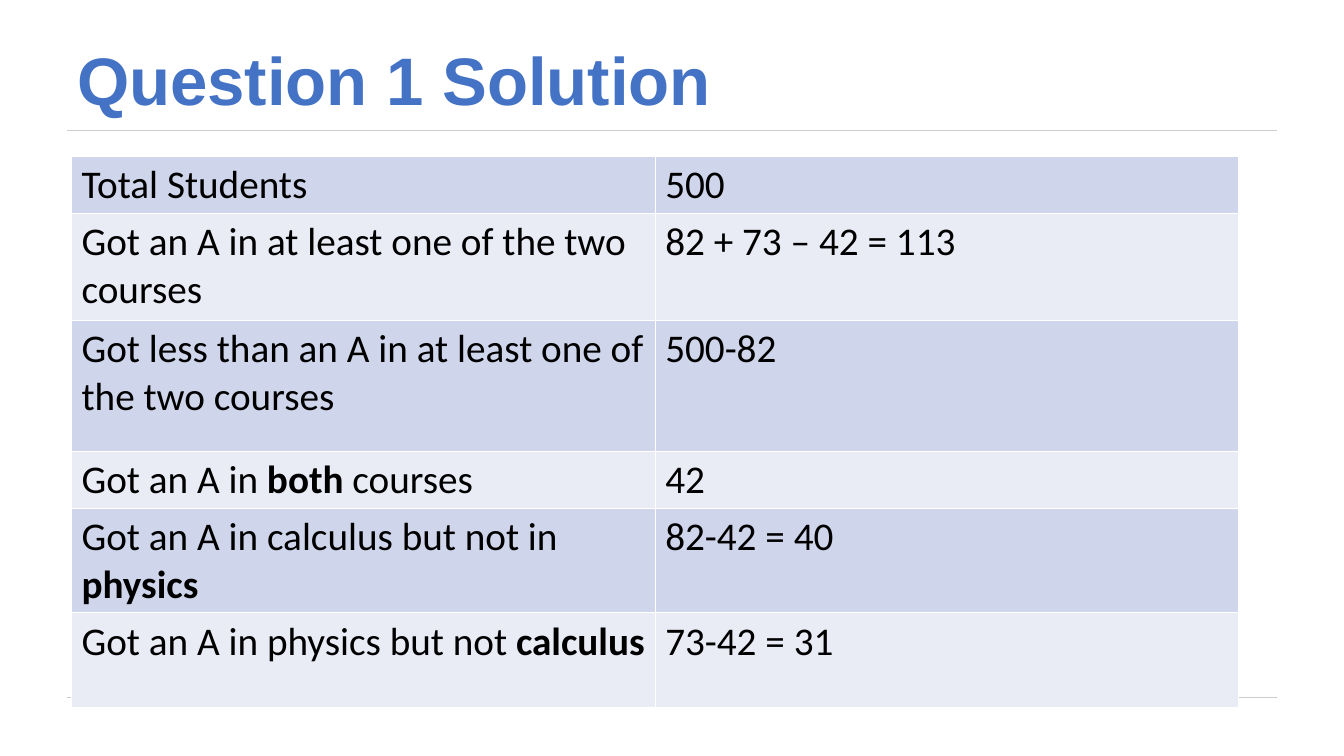
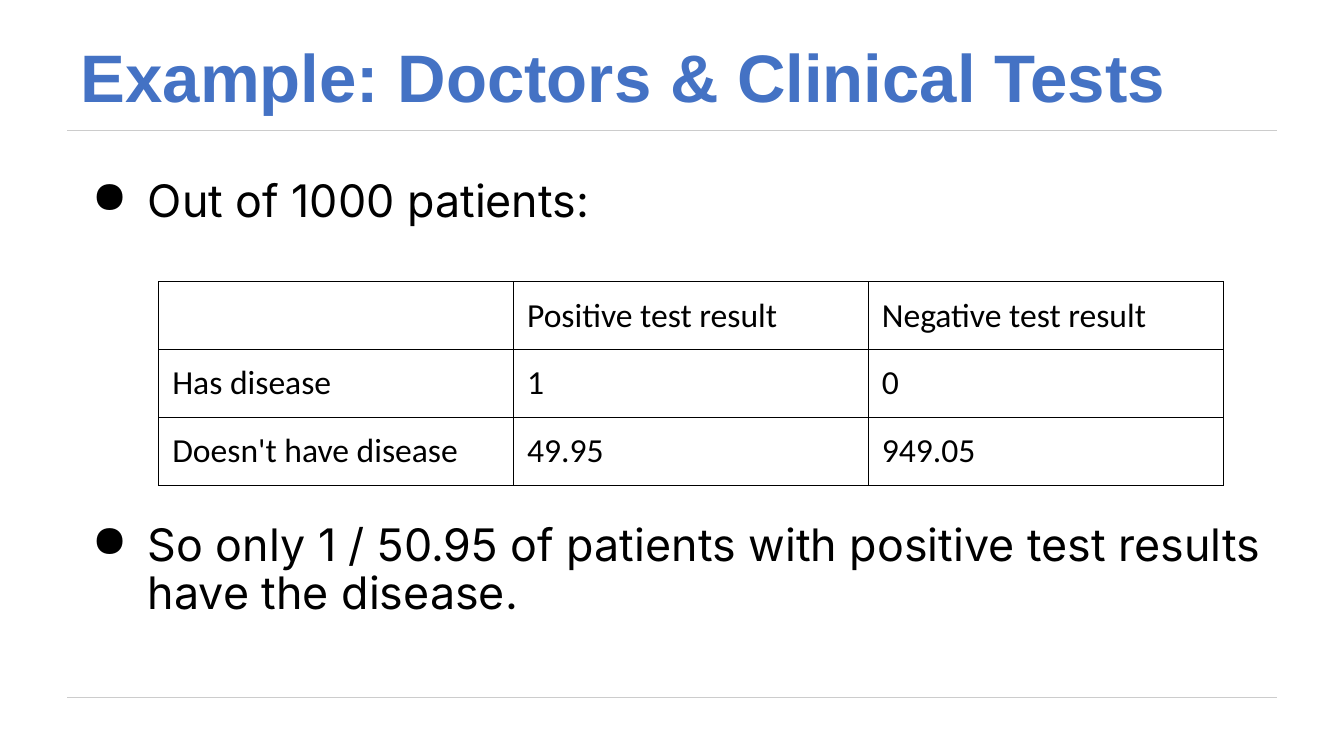
from dataclasses import dataclass
from typing import Any

from lxml.etree import SubElement
from pptx import Presentation
from pptx.dml.color import RGBColor
from pptx.enum.shapes import MSO_CONNECTOR
from pptx.enum.text import MSO_ANCHOR
from pptx.oxml.ns import qn
from pptx.slide import Slide
from pptx.util import Pt

BLUE = RGBColor(0x44, 0x72, 0xC4)
BLACK = RGBColor(0, 0, 0)
WHITE = RGBColor(255, 255, 255)
RULE = RGBColor(0xCC, 0xCC, 0xCC)
BANDS = (RGBColor(0xCF, 0xD5, 0xEA), RGBColor(0xE9, 0xEB, 0xF5))

SIDES = ("left", "top", "right", "bottom")
LEFT, RIGHT = 48, 912
RULES = (92.9, 498)


@dataclass(frozen=True)
class Font:
    """Look of a run of text."""
    name: str
    size: float
    color: RGBColor = BLACK
    bold: bool = False


@dataclass(frozen=True)
class Box:
    """Place of an object and its inner margin, in points."""
    left: float
    top: float
    width: float
    height: float
    inset: float = 9.6


@dataclass(frozen=True)
class Grid:
    """Table with rows of text, where *stars* mark bold words."""
    left: float
    top: float
    width: float
    heights: tuple[float, ...]
    rows: tuple[tuple[str, ...], ...]
    font: Font
    edge: RGBColor
    weight: float
    bands: tuple[RGBColor, ...] = ()
    margins: tuple[float, ...] = (9.6,) * 4


@dataclass(frozen=True)
class Bullet:
    """Bullet text and the space before it."""
    text: str
    before: float


TITLE = Font("Arial", 48, BLUE, True)
BODY = Font("Inter", 32)

GRADES = Grid(
    51.1, 111.6, 833.8, (37.4, 76.3, 93.6, 37.4, 67.7, 67.7),
    (("Total Students", "500"),
     ("Got an A in at least one of the two courses", "82 + 73 – 42 = 113"),
     ("Got less than an A in at least one of the two courses", "500-82"),
     ("Got an A in *both* courses", "42"),
     ("Got an A in calculus but not in *physics*", "82-42 = 40"),
     ("Got an A in physics but not *calculus*", "73-42 = 31")),
    Font("Calibri", 28), WHITE, 1, BANDS, (7.2, 3.6, 7.2, 3.6))

TESTS = Grid(
    113.5, 201.2, 760.3, (48.5,) * 3,
    (("", "Positive test result", "Negative test result"),
     ("Has disease", "1", "0"),
     ("Doesn't have disease", "49.95", "949.05")),
    Font("Calibri", 24), BLACK, 0.75)

POINTS = (
    Bullet("Out of 1000 patients:", 6.4),
    Bullet("So only 1 / 50.95 of patients with positive test results "
           "have the disease.", 211))


def assign(item: Any, values: dict[str, Any]) -> None:
    """Set each named value on an item."""
    for name, value in values.items():
        setattr(item, name, value)


def pads(sizes: tuple[float, ...]) -> dict[str, Any]:
    """Give margin values for the four sides."""
    return {f"margin_{side}": Pt(size) for side, size in zip(SIDES, sizes)}


def write(para: Any, text: str, font: Font) -> None:
    """Add runs, with starred words in bold."""
    for index, part in enumerate(text.split("*")):
        if part:
            run = para.add_run()
            run.text = part
            assign(run.font, {"name": font.name, "size": Pt(font.size),
                              "bold": font.bold or index % 2 == 1})
            run.font.color.rgb = font.color


def add_frame(slide: Slide, box: Box, anchor: MSO_ANCHOR) -> Any:
    """Add a wrapped text box and return its text frame."""
    places = (box.left, box.top, box.width, box.height)
    frame = slide.shapes.add_textbox(*map(Pt, places)).text_frame
    assign(frame, {"word_wrap": True, "vertical_anchor": anchor,
                   **pads((box.inset,) * 4)})
    return frame


def add_rule(slide: Slide, top: float) -> None:
    """Draw a thin grey line across the slide."""
    line = slide.shapes.add_connector(
        MSO_CONNECTOR.STRAIGHT, Pt(LEFT), Pt(top), Pt(RIGHT), Pt(top))
    line.line.color.rgb = RULE
    line.line.width = Pt(0.75)
    SubElement(line._element.spPr, qn("a:effectLst"))


def add_slide(deck: Any, title: str, box: Box) -> Slide:
    """Add a slide with its two rules and title."""
    slide = deck.slides.add_slide(deck.slide_layouts[6])
    for top in RULES:
        add_rule(slide, top)
    para = add_frame(slide, box, MSO_ANCHOR.BOTTOM).paragraphs[0]
    para.line_spacing = 0.9
    write(para, title, TITLE)
    return slide


def add_points(slide: Slide, box: Box, points: tuple[Bullet, ...]) -> None:
    """Add a text box of bullets."""
    frame = add_frame(slide, box, MSO_ANCHOR.TOP)
    for index, point in enumerate(points):
        para = frame.add_paragraph() if index else frame.paragraphs[0]
        assign(para, {"line_spacing": 0.9, "space_before": Pt(point.before)})
        props = para._p.get_or_add_pPr()
        props.set("marL", str(Pt(48)))
        props.set("indent", str(Pt(-40)))
        SubElement(props, qn("a:buChar"), char="●")
        write(para, point.text, BODY)


def add_edges(cell: Any, color: RGBColor, weight: float) -> None:
    """Draw the four borders of a cell."""
    props = cell._tc.get_or_add_tcPr()
    for side in "LRTB":
        line = SubElement(props, qn(f"a:ln{side}"), w=str(Pt(weight)))
        fill = SubElement(line, qn("a:solidFill"))
        SubElement(fill, qn("a:srgbClr"), val=str(color))


def add_grid(slide: Slide, grid: Grid) -> None:
    """Add a table with its text, fills and borders."""
    places = (grid.left, grid.top, grid.width, sum(grid.heights))
    table = slide.shapes.add_table(
        len(grid.rows), len(grid.rows[0]), *map(Pt, places)).table
    assign(table, {"first_row": False, "horz_banding": False})
    for index, (row, height) in enumerate(zip(table.rows, grid.heights)):
        row.height = Pt(height)
        for cell, text in zip(row.cells, grid.rows[index]):
            assign(cell, pads(grid.margins))
            add_edges(cell, grid.edge, grid.weight)
            if grid.bands:
                cell.fill.solid()
                cell.fill.fore_color.rgb = grid.bands[index % len(grid.bands)]
            else:
                cell.fill.background()
            write(cell.text_frame.paragraphs[0], text, grid.font)


def main() -> None:
    """Build and save the deck."""
    deck = Presentation()
    assign(deck, {"slide_width": Pt(960), "slide_height": Pt(540)})

    slide = add_slide(deck, "Question 1 Solution",
                      Box(LEFT, 21.6, 704, 71.3, 7.2))
    add_grid(slide, GRADES)

    slide = add_slide(deck, "Example: Doctors & Clinical Tests",
                      Box(LEFT, 21.6, 872, 71.3))
    add_points(slide, Box(LEFT, 118, 864, 228), POINTS)
    add_grid(slide, TESTS)

    deck.save("out.pptx")


main()
